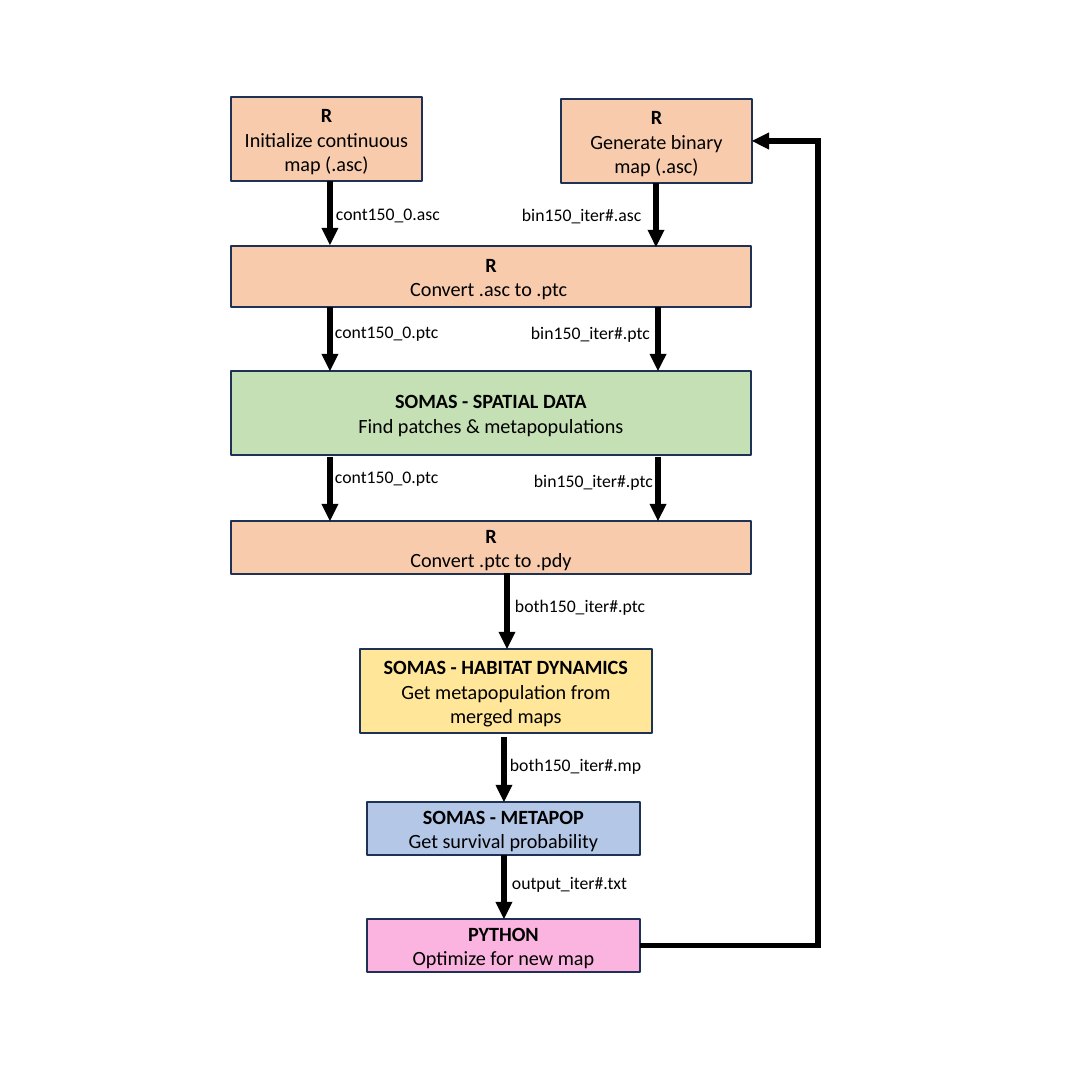
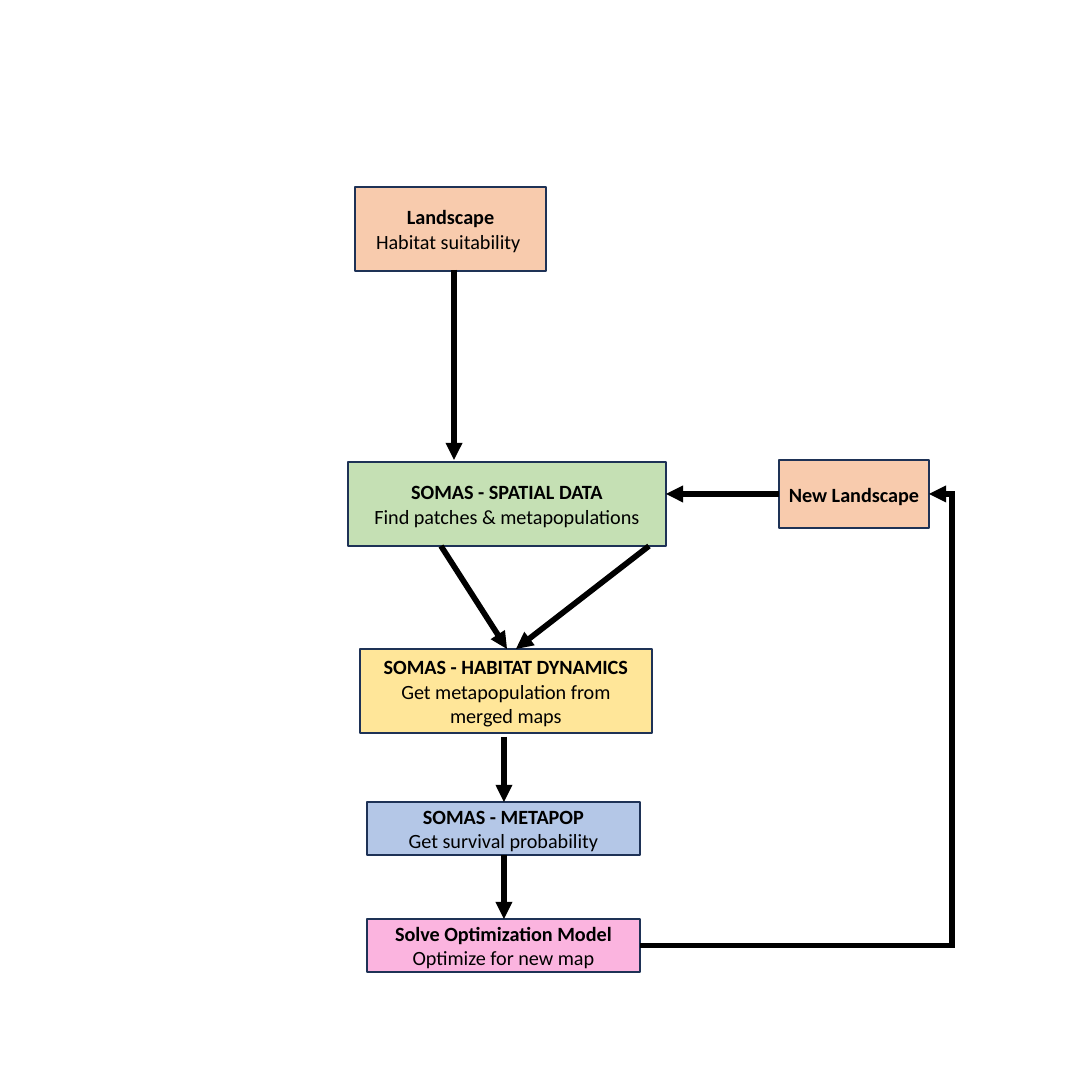
import pptx
import pptx.dml.color
import pptx.enum.shapes
import pptx.enum.text
import pptx.oxml.ns
import pptx.util
from lxml import etree

SCALE = 914400 / 91
FONT = "Calibri"
INK, BORDER = "000000", "1E3256"
SCRIPT, SPATIAL, HABITAT, METAPOP, OPTIMIZE = (
    "F8CBAD", "C5E0B4", "FFE699", "B4C7E7", "FBB4DF")


def px(length):
    return pptx.util.Emu(round(length * SCALE))


def rgb(color):
    return pptx.dml.color.RGBColor.from_string(color)


def add_xml(parent, tag, **attributes):
    return etree.SubElement(parent, pptx.oxml.ns.qn(tag), attributes)


class FlowChart:
    """Style of the flow charts and the slide being drawn."""

    def __init__(self):
        self.deck = pptx.Presentation()
        self.deck.slide_width = self.deck.slide_height = px(12 * 91)

    def new_slide(self):
        self.slide = self.deck.slides.add_slide(self.deck.slide_layouts[6])

    def add_text(self, paragraph, text, size, bold=False):
        run = paragraph.add_run()
        run.text = text
        run.font.name = FONT
        run.font.size = pptx.util.Pt(size)
        run.font.bold = bold
        run.font.color.rgb = rgb(INK)

    def step(self, left, top, width, height, fill, tool, task=None):
        box = self.slide.shapes.add_shape(
            pptx.enum.shapes.MSO_SHAPE.RECTANGLE,
            px(left), px(top), px(width), px(height))
        box.shadow.inherit = False
        box.fill.solid()
        box.fill.fore_color.rgb = rgb(fill)
        box.line.color.rgb = rgb(BORDER)
        box.line.width = pptx.util.Pt(1)
        frame = box.text_frame
        frame.word_wrap = True
        frame.vertical_anchor = pptx.enum.text.MSO_ANCHOR.MIDDLE
        self.add_text(frame.paragraphs[0], tool, 16, bold=True)
        if task:
            self.add_text(frame.add_paragraph(), task, 16)
        for paragraph in frame.paragraphs:
            paragraph.alignment = pptx.enum.text.PP_ALIGN.CENTER
        return box

    def file_label(self, left, top, width, text):
        label = self.slide.shapes.add_textbox(
            px(left), px(top), px(width), px(31))
        frame = label.text_frame
        frame.word_wrap = False
        frame.auto_size = pptx.enum.text.MSO_AUTO_SIZE.SHAPE_TO_FIT_TEXT
        self.add_text(frame.paragraphs[0], text, 14)

    def style_arrow(self, arrow):
        arrow.line.color.rgb = rgb(INK)
        arrow.line.width = pptx.util.Pt(4.5)
        properties = arrow.element.spPr
        outline = properties.find(pptx.oxml.ns.qn("a:ln"))
        add_xml(outline, "a:miter", lim="800000")
        add_xml(outline, "a:tailEnd", type="triangle")
        add_xml(properties, "a:effectLst")

    def arrow(self, x1, y1, x2, y2):
        arrow = self.slide.shapes.add_connector(
            pptx.enum.shapes.MSO_CONNECTOR.STRAIGHT,
            px(x1), px(y1), px(x2), px(y2))
        self.style_arrow(arrow)

    def down(self, x, top, bottom):
        self.arrow(x, top, x, bottom)

    def feedback(self, source, target, lane):
        """Lead from the right side of source, along lane, to target's."""
        right_side = 3
        loop = self.slide.shapes.add_connector(
            pptx.enum.shapes.MSO_CONNECTOR.ELBOW, 0, 0, 0, 0)
        loop.begin_connect(source, right_side)
        loop.end_connect(target, right_side)
        bend = (px(lane) - loop.begin_x) / (loop.end_x - loop.begin_x)
        geometry = loop.element.spPr.find(pptx.oxml.ns.qn("a:prstGeom"))
        guides = geometry.find(pptx.oxml.ns.qn("a:avLst"))
        add_xml(guides, "a:gd", name="adj1", fmla=f"val {round(bend * 100000)}")
        self.style_arrow(loop)

    def closing_steps(self, optimizer):
        """Steps that end both charts; returns the last one."""
        self.step(360, 649, 292, 84, HABITAT, "SOMAS - HABITAT DYNAMICS",
                  "Get metapopulation from merged maps")
        self.step(367, 802, 273, 53, METAPOP, "SOMAS - METAPOP",
                  "Get survival probability")
        last = self.step(367, 919, 273, 53, OPTIMIZE, optimizer,
                         "Optimize for new map")
        self.down(504, 737, 802)
        self.down(504, 855, 919)
        return last


chart = FlowChart()

# Slide 1: programs and the files passed between them
chart.new_slide()
chart.step(231, 97, 191, 84, SCRIPT, "R", "Initialize continuous map (.asc)")
binary_map = chart.step(561, 99, 191, 84, SCRIPT, "R",
                        "Generate binary map (.asc)")
for top, height, fill, tool, task in (
        (246, 61, SCRIPT, "R", "Convert .asc to .ptc "),
        (371, 84, SPATIAL, "SOMAS - SPATIAL DATA",
         "Find patches & metapopulations"),
        (521, 53, SCRIPT, "R", "Convert .ptc to .pdy")):
    chart.step(231, top, 520, height, fill, tool, task)
python_step = chart.closing_steps("PYTHON")

# Arrows of the continuous and binary branches, then the merged one
for x, top in ((330, 181), (656, 183), (330, 307), (658, 307),
               (330, 457), (658, 457)):
    chart.down(x, top, top + 64)
chart.down(507, 573, 649)
chart.feedback(python_step, binary_map, lane=818)

# File names beside the arrows
for left, top, width, file_name in (
        (327, 198, 124, "cont150_0.asc"),
        (513, 199, 139, "bin150_iter#.asc"),
        (326, 316, 123, "cont150_0.ptc"),
        (522, 317, 139, "bin150_iter#.ptc"),
        (326, 461, 123, "cont150_0.ptc"),
        (525, 465, 139, "bin150_iter#.ptc"),
        (506, 590, 150, "both150_iter#.ptc"),
        (501, 749, 151, "both150_iter#.mp"),
        (503, 867, 140, "output_iter#.txt")):
    chart.file_label(left, top, width, file_name)

# Slide 2: conceptual loop
chart.new_slide()
chart.step(355, 187, 191, 84, SCRIPT, "Landscape", "Habitat suitability ")
new_landscape = chart.step(779, 460, 150, 68, SCRIPT, "New Landscape")
chart.step(348, 462, 318, 84, SPATIAL, "SOMAS - SPATIAL DATA",
           "Find patches & metapopulations")
optimization = chart.closing_steps("Solve Optimization Model")
chart.down(454, 270, 460)
chart.arrow(779, 494, 666, 494)
chart.arrow(441, 546, 507, 649)
chart.arrow(649, 546, 516, 649)
chart.feedback(optimization, new_landscape, lane=952)

chart.deck.save("out.pptx")
